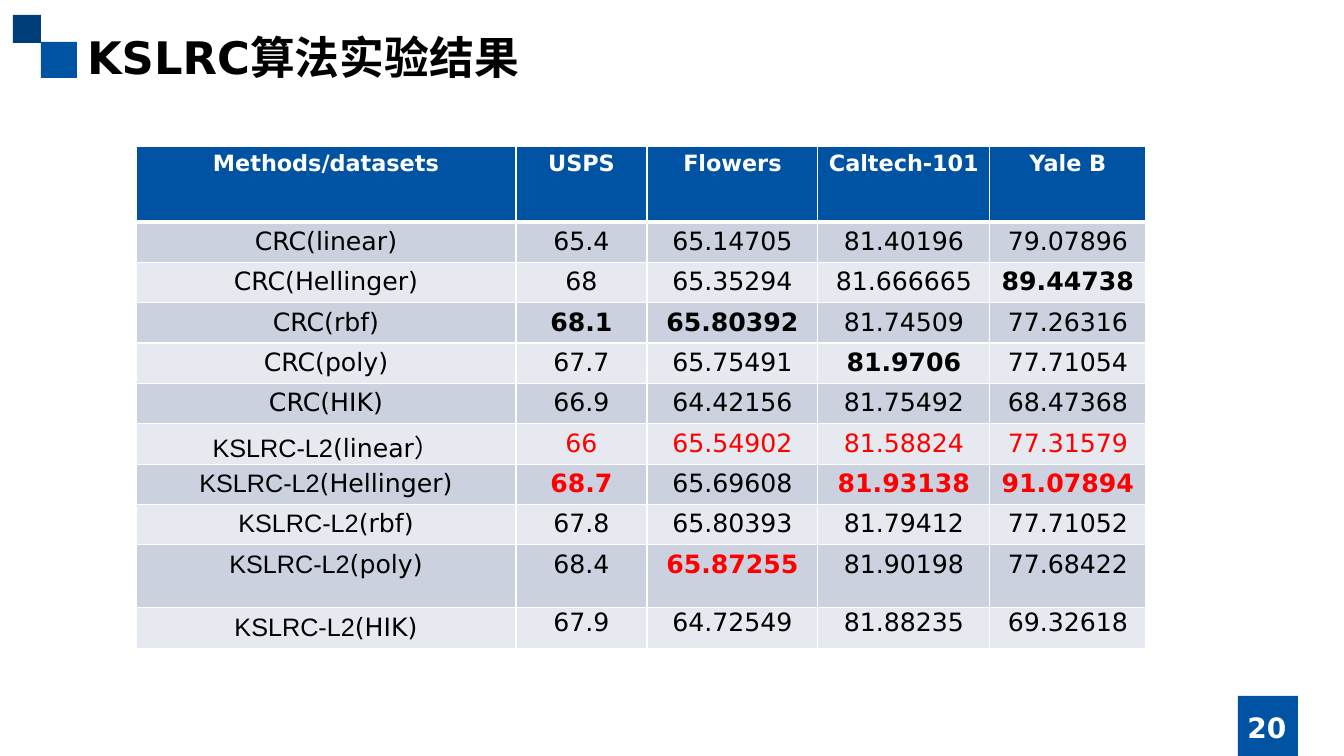
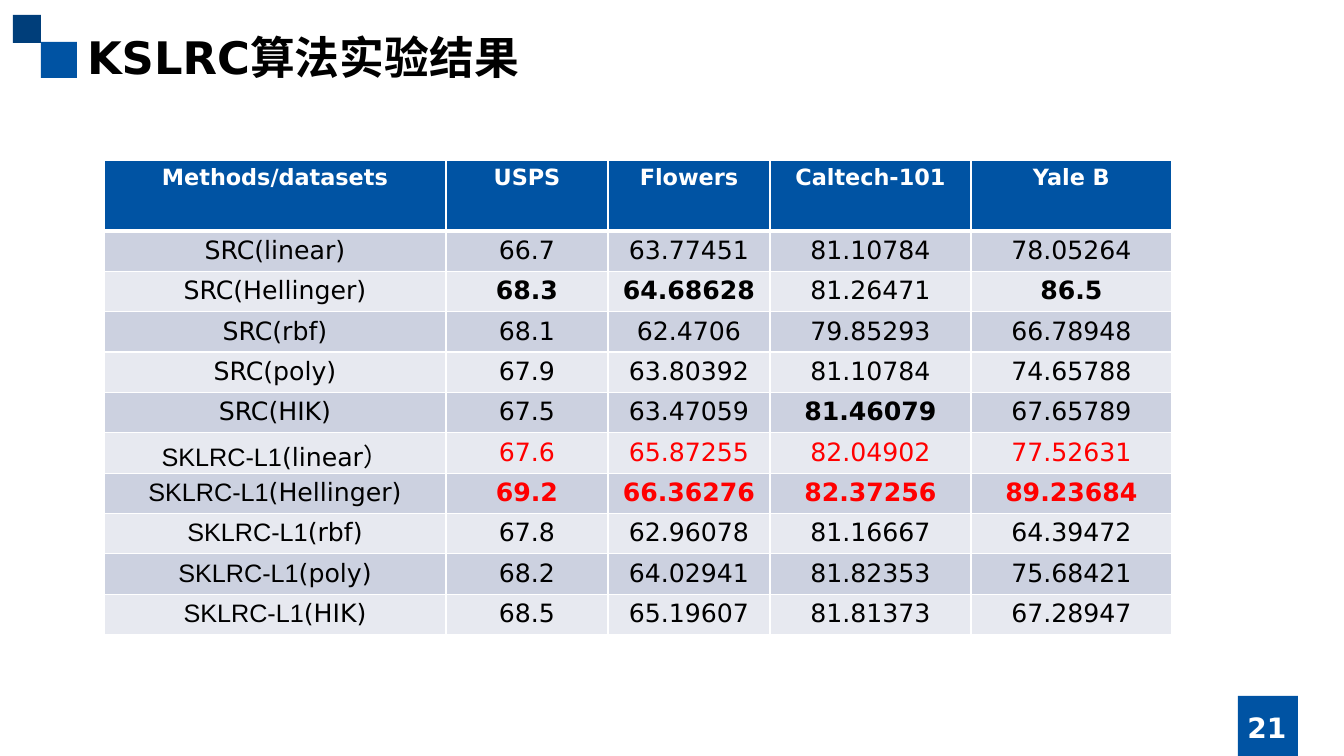
from lxml.etree import SubElement
from pptx import Presentation
from pptx.dml.color import RGBColor
from pptx.enum.shapes import MSO_SHAPE
from pptx.enum.text import MSO_ANCHOR as ANCHOR, MSO_AUTO_SIZE as AUTO_SIZE, PP_ALIGN as ALIGN
from pptx.oxml.ns import qn
from pptx.util import Pt

EMU_PER_PX = 914400 / 100.8
BLUE, NAVY = "0053A3", "003E7A"
BAND_DARK, BAND_LIGHT = "CCD1E0", "E7E9F0"
WHITE, BLACK, RED = "FFFFFF", "000000", "FF0000"
LATIN, METHOD_FONT, CHINESE = "DejaVu Sans", "Arial", "Noto Sans CJK SC"

TITLE = (("KSLRC", LATIN), ("算法实验结果", CHINESE))
HEADINGS = ("Methods/datasets", "USPS", "Flowers", "Caltech-101", "Yale B")
ROW_HEIGHT = 40.3

# In the result values, * marks bold and ! marks red.
L2_RESULTS = (
    ("CRC", "(linear)", "65.4 65.14705 81.40196 79.07896"),
    ("CRC", "(Hellinger)", "68 65.35294 81.666665 *89.44738"),
    ("CRC", "(rbf)", "*68.1 *65.80392 81.74509 77.26316"),
    ("CRC", "(poly)", "67.7 65.75491 *81.9706 77.71054"),
    ("CRC", "(HIK)", "66.9 64.42156 81.75492 68.47368"),
    ("KSLRC-L2", "(linear）", "!66 !65.54902 !81.58824 !77.31579"),
    ("KSLRC-L2", "(Hellinger)", "*!68.7 65.69608 *!81.93138 *!91.07894"),
    ("KSLRC-L2", "(rbf)", "67.8 65.80393 81.79412 77.71052"),
    ("KSLRC-L2", "(poly)", "68.4 *!65.87255 81.90198 77.68422"),
    ("KSLRC-L2", "(HIK)", "67.9 64.72549 81.88235 69.32618"),
)
L1_RESULTS = (
    ("SRC", "(linear)", "66.7 63.77451 81.10784 78.05264"),
    ("SRC", "(Hellinger)", "*68.3 *64.68628 81.26471 *86.5"),
    ("SRC", "(rbf)", "68.1 62.4706 79.85293 66.78948"),
    ("SRC", "(poly)", "67.9 63.80392 81.10784 74.65788"),
    ("SRC", "(HIK)", "67.5 63.47059 *81.46079 67.65789"),
    ("SKLRC-L1", "(linear）", "!67.6 !65.87255 !82.04902 !77.52631"),
    ("SKLRC-L1", "(Hellinger)", "*!69.2 *!66.36276 *!82.37256 *!89.23684"),
    ("SKLRC-L1", "(rbf)", "67.8 62.96078 81.16667 64.39472"),
    ("SKLRC-L1", "(poly)", "68.2 64.02941 81.82353 75.68421"),
    ("SKLRC-L1", "(HIK)", "68.5 65.19607 81.81373 67.28947"),
)


def px(length):
    return round(length * EMU_PER_PX)


def rgb(value):
    return RGBColor.from_string(value)


def write(paragraph, text, size=18, font=LATIN, color=BLACK, bold=False, align=ALIGN.CENTER):
    """Append one formatted run to the paragraph."""
    paragraph.alignment = align
    run = paragraph.add_run()
    run.text = text
    run.font.size, run.font.bold, run.font.name = Pt(size), bold, font
    run.font.color.rgb = rgb(color)
    SubElement(run.font._element, qn("a:ea"), typeface=CHINESE)


def add_layout_marks(layout, slide):
    """Draw the corner squares and the page number square, kept on the layout."""
    for left, top, side, color in ((41, 42, 36, BLUE), (13, 15, 28, NAVY), (1238, 696, 60, BLUE)):
        square = slide.shapes.add_shape(MSO_SHAPE.RECTANGLE, px(left), px(top), px(side), px(side))
        square.shadow.inherit = False
        square.fill.solid()
        square.fill.fore_color.rgb = rgb(color)
        square.line.fill.background()
        layout.shapes.element.append(square.element)


def place_title(slide, left, top, width, height):
    title = slide.shapes.title
    title.left, title.top, title.width, title.height = map(px, (left, top, width, height))
    frame = title.text_frame
    frame.auto_size, frame.vertical_anchor = AUTO_SIZE.NONE, ANCHOR.MIDDLE
    for text, font in TITLE:
        write(frame.paragraphs[0], text, size=32, font=font, bold=True, align=ALIGN.LEFT)


def add_page_number(slide, number, left, top, width, height):
    frame = slide.shapes.add_textbox(*map(px, (left, top, width, height))).text_frame
    frame.word_wrap, frame.vertical_anchor = True, ANCHOR.MIDDLE
    write(frame.paragraphs[0], str(number), size=20, color=WHITE, bold=True)


def style_cell(cell, fill, top_line=1, bottom_line=1):
    """Give the cell white borders, in points, and a solid fill."""
    properties = cell._tc.get_or_add_tcPr()
    for side, weight in (("L", 1), ("R", 1), ("T", top_line), ("B", bottom_line)):
        border = SubElement(properties, qn(f"a:ln{side}"), w=str(Pt(weight)))
        SubElement(SubElement(border, qn("a:solidFill")), qn("a:srgbClr"), val=WHITE)
    cell.fill.solid()
    cell.fill.fore_color.rgb = rgb(fill)


def write_method(cell, method, kernel):
    paragraph = cell.text_frame.paragraphs[0]
    write(paragraph, method, font=METHOD_FONT if "-" in method else LATIN)
    write(paragraph, kernel)
    if "）" in kernel:  # the full-width bracket makes a taller line
        cell.margin_top, cell.margin_bottom = px(4), 0


def add_results(slide, results, left, top, columns, header_height, tall_row=None, tight_row=None):
    """Add the results table; tall_row is 63 px high, tight_row has values without top inset."""
    heights = [header_height] + [ROW_HEIGHT] * len(results)
    if tall_row:
        heights[tall_row] = 63
    table = slide.shapes.add_table(len(heights), len(columns), px(left), px(top),
                                   px(sum(columns)), px(sum(heights))).table
    table.first_row = table.horz_banding = False
    for column, width in zip(table.columns, columns):
        column.width = px(width)
    for row, height in zip(table.rows, heights):
        row.height = px(height)

    for index, heading in enumerate(HEADINGS):
        cell = table.cell(0, index)
        style_cell(cell, BLUE, bottom_line=3)
        write(cell.text_frame.paragraphs[0], heading, size=16, color=WHITE, bold=True)

    for number, (method, kernel, values) in enumerate(results, 1):
        method_cell, *value_cells = table.rows[number].cells
        for cell in (method_cell, *value_cells):
            style_cell(cell, BAND_DARK if number % 2 else BAND_LIGHT,
                       top_line=3 if number == 1 else 1)
        write_method(method_cell, method, kernel)
        for cell, value in zip(value_cells, values.split()):
            write(cell.text_frame.paragraphs[0], value.lstrip("*!"),
                  color=RED if "!" in value else BLACK, bold="*" in value)
            if number == tight_row:
                cell.margin_left = cell.margin_right = px(7)
                cell.margin_top = cell.margin_bottom = 0


def add_results_slide(deck, layout, number, **table):
    slide = deck.slides.add_slide(layout)
    place_title(slide, 77, 24, 1190, 65)
    add_page_number(slide, number, 1190, 707, 154, 40)
    add_results(slide, **table)
    return slide


def main():
    deck = Presentation()
    deck.slide_width, deck.slide_height = px(1344), px(756)
    layout = deck.slide_layouts[5]
    first = add_results_slide(deck, layout, 20, results=L2_RESULTS, left=136, top=146,
                              columns=(380, 131, 171, 172, 156), header_height=76,
                              tall_row=9, tight_row=10)
    add_layout_marks(layout, first)
    add_results_slide(deck, layout, 21, results=L1_RESULTS, left=104, top=160,
                      columns=(342, 162, 162, 201, 201), header_height=71)
    deck.save("out.pptx")


if __name__ == "__main__":
    main()
